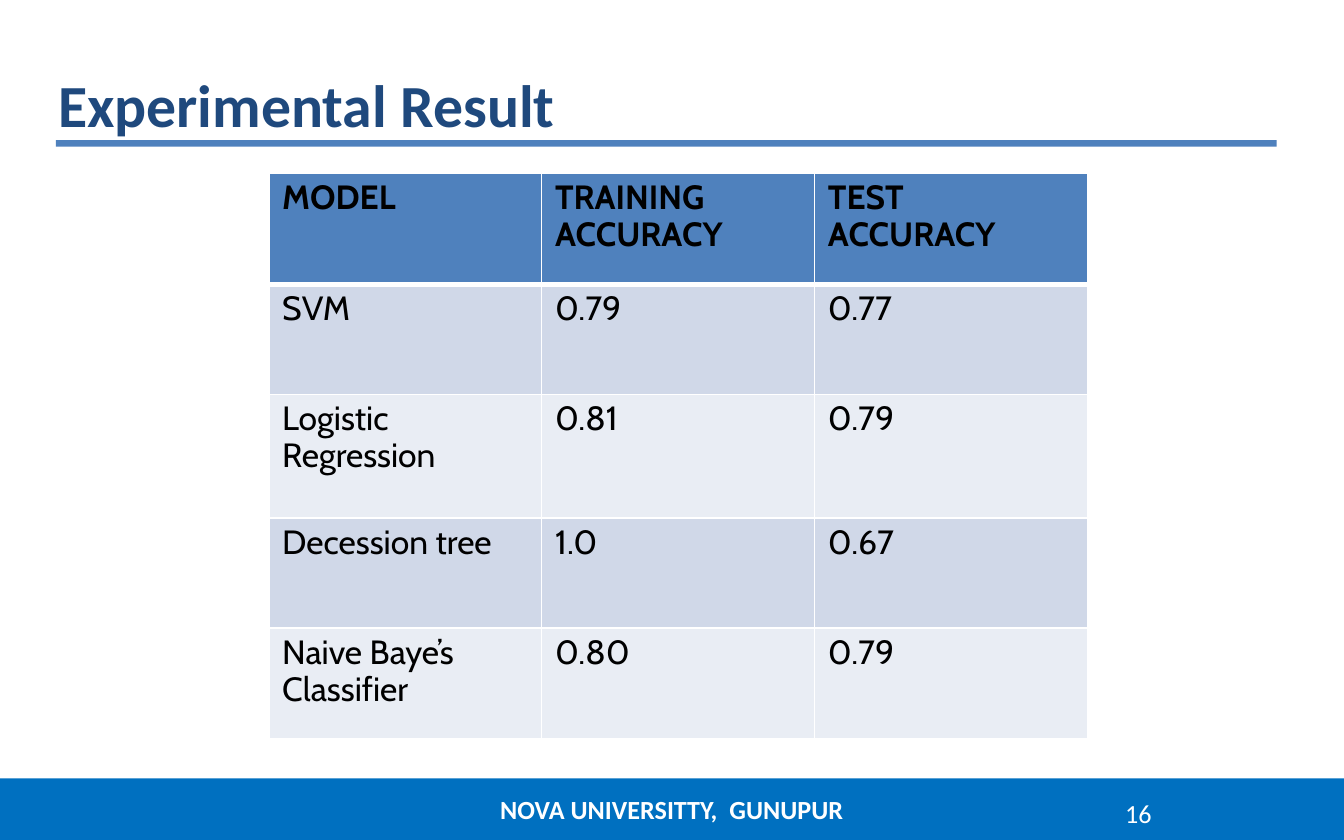
from lxml import etree
from pptx import Presentation
from pptx.dml.color import RGBColor
from pptx.enum import shapes, text
from pptx.oxml.ns import qn
from pptx.util import Pt

WHITE, BLACK, NAVY = "FFFFFF", "000000", "1F497D"
BLUE, FOOTER_BLUE = "4F81BD", "0070C0"
BANDS = ("D0D8E8", "E9EDF4")
LEFT, CENTER = text.PP_ALIGN.LEFT, text.PP_ALIGN.CENTER
RIGHT, JUSTIFY = text.PP_ALIGN.RIGHT, text.PP_ALIGN.JUSTIFY

RESULTS = (
    ("MODEL", "TRAINING ACCURACY", "TEST ACCURACY"),
    ("SVM", "0.79", "0.77"),
    ("Logistic Regression", "0.81", "0.79"),
    ("Decession tree", "1.0", "0.67"),
    ("Naive Baye’s\nClassifier", "0.80", "0.79"),
)
LEFT_ALIGNED = ("TRAINING ACCURACY", "SVM", "Logistic Regression")
ROW_HEIGHTS = (59.2, 59.2, 66, 59.2, 59.2)
COLUMN_WIDTH = 146.2


def set_fill(item, color):
    item.fill.solid()
    item.fill.fore_color.rgb = RGBColor.from_string(color)


def write(frame, words, size=14, font="Calibri", color=WHITE, bold=False,
          align=LEFT, spacing=None):
    """Write one paragraph for each line of words."""
    frame.word_wrap = True
    for number, line in enumerate(words.split("\n")):
        para = frame.add_paragraph() if number else frame.paragraphs[0]
        para.alignment = align
        para.line_spacing = spacing
        span = para.add_run()
        span.text = line
        span.font.size = Pt(size)
        span.font.name = font
        span.font.bold = bold
        span.font.color.rgb = RGBColor.from_string(color)


def add_bar(page, left, top, width, height, color):
    bar = page.shapes.add_shape(shapes.MSO_SHAPE.RECTANGLE, Pt(left), Pt(top),
                                Pt(width), Pt(height))
    set_fill(bar, color)
    bar.line.fill.background()
    bar.shadow.inherit = False
    return bar


def add_label(page, left, top, width, height, words, **style):
    box = page.shapes.add_textbox(Pt(left), Pt(top), Pt(width), Pt(height))
    box.text_frame.vertical_anchor = text.MSO_ANCHOR.MIDDLE
    write(box.text_frame, words, **style)


def set_borders(cell, color, bottom):
    """Draw 1 pt cell borders, with their own width at the bottom."""
    properties = cell._tc.get_or_add_tcPr()
    for number, (side, width) in enumerate(
            (("L", 1), ("R", 1), ("T", 1), ("B", bottom))):
        line = etree.Element(qn(f"a:ln{side}"), w=str(Pt(width)))
        fill = etree.SubElement(line, qn("a:solidFill"))
        etree.SubElement(fill, qn("a:srgbClr"), val=color)
        properties.insert(number, line)


def add_results(page, left, top):
    columns = len(RESULTS[0])
    table = page.shapes.add_table(
        len(RESULTS), columns, Pt(left), Pt(top),
        Pt(columns * COLUMN_WIDTH), Pt(sum(ROW_HEIGHTS))).table
    for column in table.columns:
        column.width = Pt(COLUMN_WIDTH)
    for r, (height, values) in enumerate(zip(ROW_HEIGHTS, RESULTS)):
        table.rows[r].height = Pt(height)
        header = r == 0
        for c, value in enumerate(values):
            cell = table.cell(r, c)
            set_fill(cell, BLUE if header else BANDS[(r - 1) % 2])
            set_borders(cell, WHITE, bottom=3 if header else 1)
            write(cell.text_frame, value, size=18, font="Cabin", color=BLACK,
                  bold=header, spacing=0.9,
                  align=LEFT if value in LEFT_ALIGNED else JUSTIFY)


def main():
    deck = Presentation()
    deck.slide_width, deck.slide_height = Pt(720), Pt(450)
    page = deck.slides.add_slide(deck.slide_layouts[6])
    add_label(page, 24, 18, 666, 75, "Experimental Result", size=32,
              color=NAVY, bold=True)
    footer = add_bar(page, 0, 417, 720, 33, FOOTER_BLUE)
    write(footer.text_frame, "NOVA UNIVERSITTY,  GUNUPUR", bold=True,
          align=CENTER)
    add_label(page, 456, 423.5, 168, 24, "16", align=RIGHT)
    add_bar(page, 30, 75, 654, 3.6, BLUE)
    add_results(page, 144, 93)
    deck.save("out.pptx")


if __name__ == "__main__":
    main()
